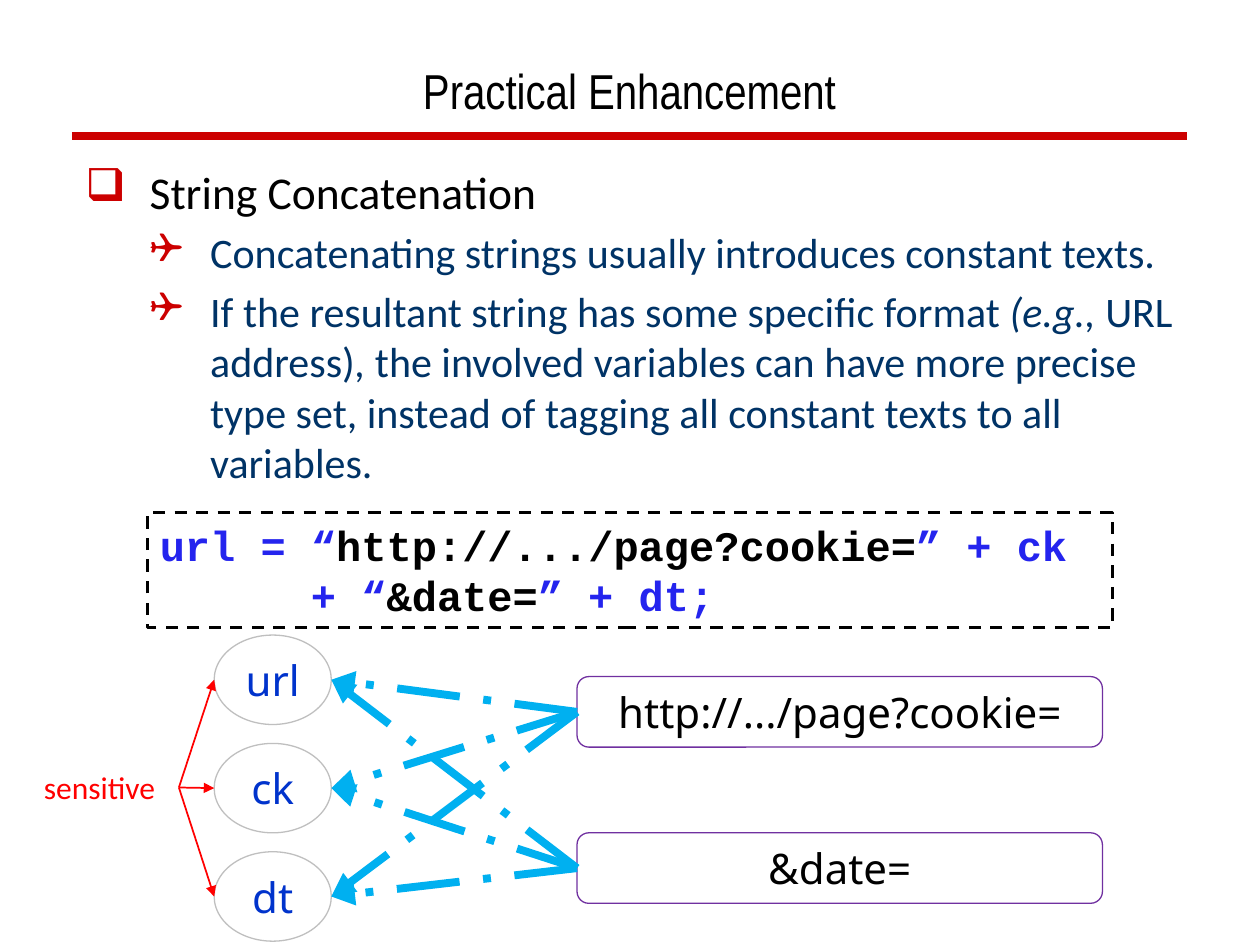
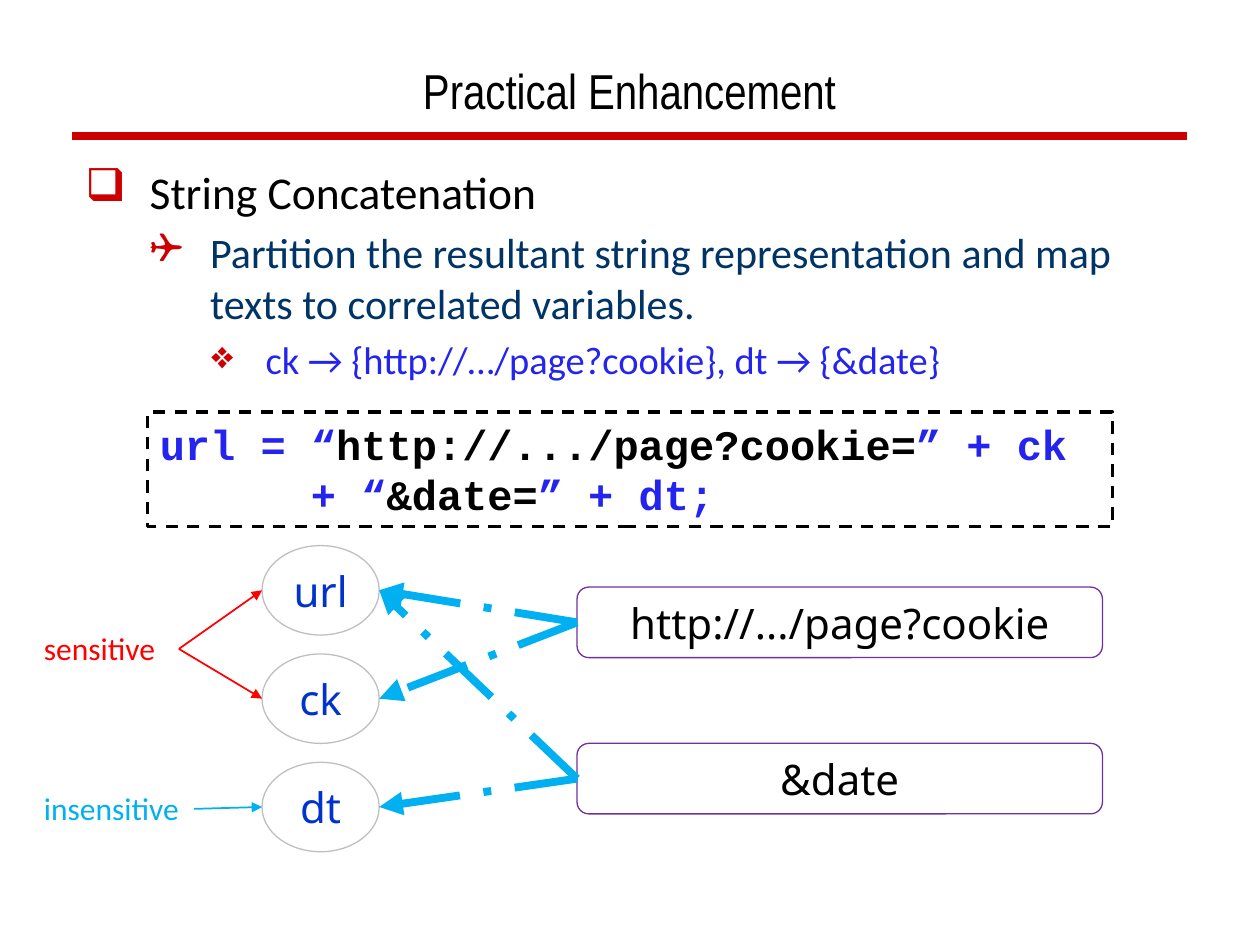
from dataclasses import dataclass

import pptx
import pptx.dml.color
import pptx.enum.dml
import pptx.enum.shapes
import pptx.enum.text
import pptx.oxml.ns
import pptx.util
from lxml import etree

Inches, Pt = pptx.util.Inches, pptx.util.Pt
SHAPE = pptx.enum.shapes.MSO_SHAPE
DASH = pptx.enum.dml.MSO_LINE
ANCHOR = pptx.enum.text.MSO_ANCHOR
ALIGN = pptx.enum.text.PP_ALIGN

COLORS = {
    "black": "000000", "rule": "CC0000", "navy": "003366", "code": "2424EE",
    "variable": "0033CC", "ellipse": "BFBFBF", "box": "7030A0",
    "flow": "00B0F0", "alert": "FF0000",
}
TITLE_FONT, BODY_FONT, CODE_FONT, NODE_FONT = (
    "Arial Narrow", "Calibri", "Courier New", "Noto Sans")

VARIABLES = ("url", "ck", "dt")
NODE_W, NODE_H, NODE_PITCH = 0.93, 0.71, 0.86
BOX_X, BOX_W, BOX_H, BOX_PITCH = 4.58, 4.17, 0.56, 1.24
BOX_DROP = 0.33  # first text box starts this far below the first ellipse


@dataclass
class Level:
    """Look of one outline level."""
    bullet: str
    left: float
    hanging: float
    size: int
    color: str


@dataclass
class Item:
    """One outline entry; every second phrase is italic."""
    level: int
    phrases: tuple


@dataclass
class Label:
    """A tag, the point its arrows leave from and the variables they reach."""
    text: str
    y: float
    width: float
    color: str
    start: tuple
    targets: tuple


@dataclass
class Graph:
    """Variables on the left, constant texts on the right, arrows between."""
    x: float
    y: float
    texts: tuple
    flows: tuple  # (text index, variable index)
    labels: tuple


LEVELS = (
    Level("\u2751", 0.51, 0.51, 26, "black"),
    Level("\u2708", 0.99, 0.48, 24, "navy"),
    Level("\u2756", 1.43, 0.43, 22, "code"),
)


def rgb(name: str):
    """Return the named colour."""
    return pptx.dml.color.RGBColor.from_string(COLORS[name])


def add_xml(parent, tag: str, **attrs):
    """Append a DrawingML child element."""
    return etree.SubElement(parent, pptx.oxml.ns.qn(tag), attrs)


def style_run(r, font: str, size: int, color: str, bold=False, italic=False):
    """Set the font of a run."""
    r.font.name, r.font.size = font, Pt(size)
    r.font.bold, r.font.italic = bold, italic
    r.font.color.rgb = rgb(color)


def add_text(s, x: float, y: float, w: float, h: float, wrap=True):
    """Add a text box and return its text frame."""
    tf = s.shapes.add_textbox(Inches(x), Inches(y), Inches(w), Inches(h)).text_frame
    tf.word_wrap = wrap
    return tf


def add_line(s, start: tuple, end: tuple, color: str, width: float,
             dash=None, arrow=True):
    """Draw a straight line, with an arrowhead at its end if wanted."""
    points = [Inches(v) for v in (*start, *end)]
    c = s.shapes.add_connector(pptx.enum.shapes.MSO_CONNECTOR.STRAIGHT, *points)
    c.line.color.rgb, c.line.width = rgb(color), Pt(width)
    if dash is not None:
        c.line.dash_style = dash
    spPr = c._element.spPr
    if arrow:
        add_xml(spPr.find(pptx.oxml.ns.qn("a:ln")), "a:tailEnd", type="triangle")
    add_xml(spPr, "a:effectLst")


def add_outline(s, kind, x: float, y: float, w: float, h: float,
                color: str, width=0.75):
    """Add an unfilled shape without shadow."""
    sp = s.shapes.add_shape(kind, Inches(x), Inches(y), Inches(w), Inches(h))
    sp.shadow.inherit = False
    sp.fill.background()
    sp.line.color.rgb, sp.line.width = rgb(color), Pt(width)
    sp.text_frame.word_wrap = False
    return sp


def add_node(s, kind, x: float, y: float, w: float, h: float,
             line: str, text: str, color: str):
    """Add an outlined shape with centred text."""
    tf = add_outline(s, kind, x, y, w, h, line).text_frame
    tf.text, tf.vertical_anchor = text, ANCHOR.MIDDLE
    p = tf.paragraphs[0]
    p.alignment = ALIGN.CENTER
    style_run(p.runs[0], NODE_FONT, 24, color)


def add_bullets(s, y: float, h: float, items: tuple):
    """Write the bulleted entries."""
    tf = add_text(s, 0.58, y, 8.83, h)
    for i, item in enumerate(items):
        level = LEVELS[item.level]
        p = tf.paragraphs[0] if i == 0 else tf.add_paragraph()
        p.level, p.space_before = item.level, Pt(level.size * 0.2)
        pPr = p._p.get_or_add_pPr()
        pPr.set("marL", str(Inches(level.left)))
        pPr.set("indent", str(-Inches(level.hanging)))
        add_xml(add_xml(pPr, "a:buClr"), "a:srgbClr", val=COLORS["rule"])
        add_xml(pPr, "a:buChar", char=level.bullet)
        for n, phrase in enumerate(item.phrases):
            r = p.add_run()
            r.text = phrase
            style_run(r, BODY_FONT, level.size, level.color, italic=n % 2 == 1)


def add_code(s, y: float):
    """Add the dashed code box; string constants are black."""
    sp = add_outline(s, SHAPE.RECTANGLE, 1.17, y, 7.66, 0.91, "black", 1.75)
    sp.line.dash_style = DASH.DASH
    tf = sp.text_frame
    tf.vertical_anchor = ANCHOR.TOP
    lines = (("url = \u201c", "http://.../page?cookie=", "\u201d + ck"),
             ("+ \u201c", "&date=", "\u201d + dt;"))
    for i, tokens in enumerate(lines):
        p = tf.paragraphs[0] if i == 0 else tf.add_paragraph()
        p.alignment = ALIGN.LEFT
        p._p.get_or_add_pPr().set("marL", str(Inches(1.2 * i)))
        for n, token in enumerate(tokens):
            r = p.add_run()
            r.text = token
            style_run(r, CODE_FONT, 24, "black" if n == 1 else "code", bold=True)


def add_graph(s, g: Graph):
    """Draw the variables, constant texts, flows and labels."""
    node_tops = [g.y + i * NODE_PITCH for i in range(len(VARIABLES))]
    box_tops = [g.y + BOX_DROP + i * BOX_PITCH for i in range(len(g.texts))]
    for name, top in zip(VARIABLES, node_tops):
        add_node(s, SHAPE.OVAL, g.x, top, NODE_W, NODE_H, "ellipse", name, "variable")
    for text, top in zip(g.texts, box_tops):
        add_node(s, SHAPE.ROUNDED_RECTANGLE, BOX_X, top, BOX_W, BOX_H,
                 "box", text, "black")
    for box, node in g.flows:
        add_line(s, (BOX_X, box_tops[box] + BOX_H / 2),
                 (g.x + NODE_W, node_tops[node] + NODE_H / 2),
                 "flow", 4.5, DASH.LONG_DASH_DOT)
    for label in g.labels:
        tf = add_text(s, 0.25, label.y, label.width, 0.4, wrap=False)
        tf.text = label.text
        style_run(tf.paragraphs[0].runs[0], BODY_FONT, 18, label.color)
        for node in label.targets:
            add_line(s, label.start, (g.x, node_tops[node] + NODE_H / 2),
                     label.color, 1)


def add_slide(prs, title: str):
    """Add a slide with the title and the red rule."""
    s = prs.slides.add_slide(prs.slide_layouts[6])
    add_line(s, (0.57, 1.08), (9.42, 1.08), "rule", 4.5, arrow=False)
    tf = add_text(s, 0.58, 0.17, 8.83, 0.83)
    tf.text, tf.vertical_anchor = title, ANCHOR.BOTTOM
    p = tf.paragraphs[0]
    p.alignment = ALIGN.CENTER
    style_run(p.runs[0], TITLE_FONT, 28, "black")
    return s


def main():
    """Build both slides."""
    prs = pptx.Presentation()
    prs.slide_width, prs.slide_height = Inches(10), Inches(7.5)
    title, heading = "Practical Enhancement", Item(0, ("String Concatenation",))

    s = add_slide(prs, title)
    add_bullets(s, 1.25, 2.83, (
        heading,
        Item(1, ("Concatenating strings usually introduces constant texts.",)),
        Item(1, ("If the resultant string has some specific format ", "(e.g., ",
                 "URL address)", ",",
                 " the involved variables can have more precise type set, "
                 "instead of tagging all constant texts to all variables.")),
    ))
    add_code(s, 4.07)
    add_graph(s, Graph(
        1.7, 5.04, ("http://.../page?cookie=", "&date="),
        tuple((box, node) for box in range(2) for node in range(3)),
        (Label("sensitive", 6.05, 1.17, "alert", (1.42, 6.25), (0, 1, 2)),)))

    s = add_slide(prs, title)
    add_bullets(s, 1.25, 1.41, (
        heading,
        Item(1, ("Partition the resultant string representation and map texts "
                 "to correlated variables.",)),
    ))
    add_bullets(s, 2.62, 0.53, (
        Item(2, ("ck \u2192 {http://\u2026/page?cookie}, dt \u2192 {&date}",)),))
    add_code(s, 3.27)
    add_graph(s, Graph(
        2.08, 4.33, ("http://.../page?cookie", "&date"),
        ((0, 0), (0, 1), (1, 0), (1, 2)),
        (Label("sensitive", 4.94, 1.17, "alert", (1.42, 5.15), (0, 1)),
         Label("insensitive", 6.21, 1.29, "flow", (1.54, 6.42), (2,)))))

    prs.save("out.pptx")


main()
